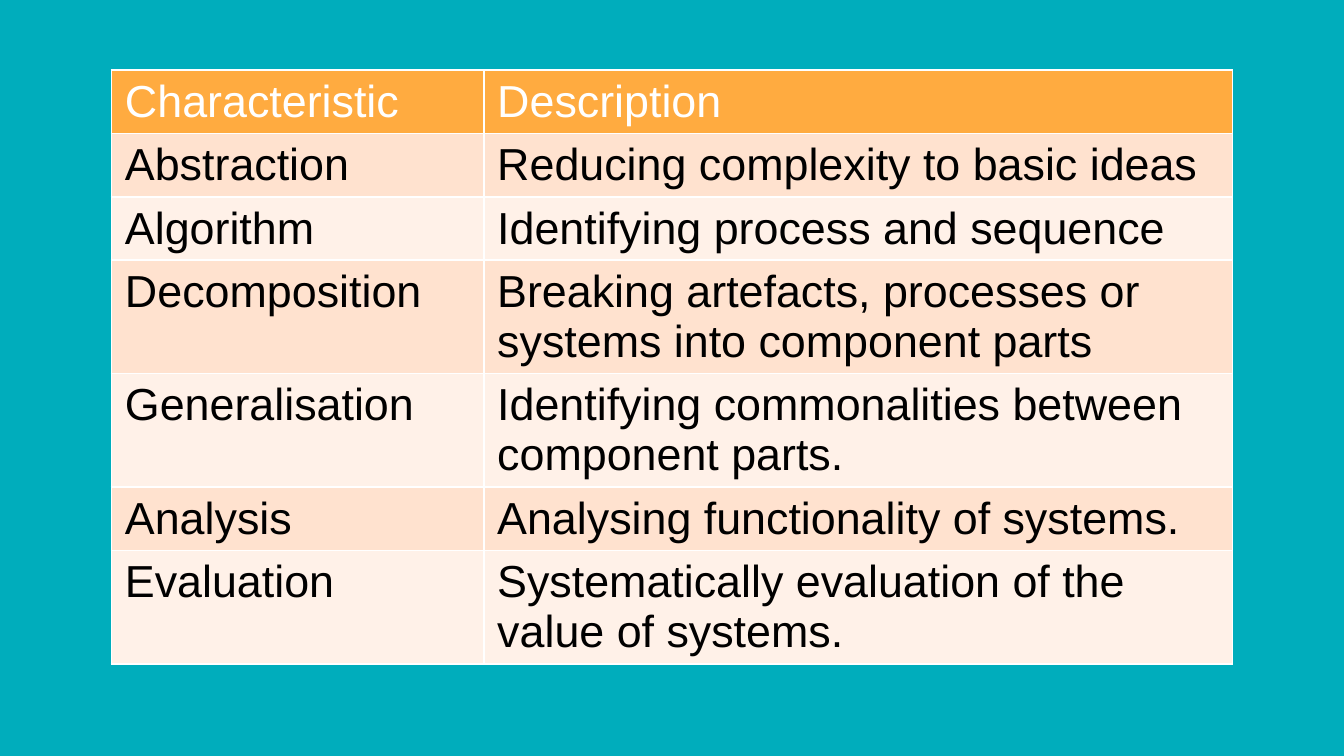
from pptx import Presentation
from pptx.dml.color import RGBColor
from pptx.oxml.ns import qn
from pptx.util import Inches, Pt
from lxml.etree import SubElement

HUES = {
    "back": "00ADBC",
    "head": "FFAB40",
    "odd": "FFE2CF",
    "even": "FFF1E8",
    "white": "FFFFFF",
    "black": "000000",
}

ROWS = [
    ("Characteristic", "Description"),
    ("Abstraction", "Reducing complexity to basic ideas"),
    ("Algorithm", "Identifying process and sequence"),
    ("Decomposition", "Breaking artefacts, processes or systems into component parts"),
    ("Generalisation", "Identifying commonalities between component parts."),
    ("Analysis", "Analysing functionality of systems."),
    ("Evaluation", "Systematically evaluation of the value of systems."),
]


def hue(name):
    return RGBColor.from_string(HUES[name])


def write(frame, text, size=24, color="black", font="Arial", bold=False):
    run = frame.paragraphs[0].add_run()
    run.text = text
    run.font.size = Pt(size)
    run.font.name = font
    run.font.bold = bold
    run.font.color.rgb = hue(color)


class Deck:
    def __init__(self, width, height):
        self.show = Presentation()
        self.show.slide_width = Inches(width)
        self.show.slide_height = Inches(height)
        self.slide = None

    def page(self, back):
        self.slide = self.show.slides.add_slide(self.show.slide_layouts[6])
        fill = self.slide.background.fill
        fill.solid()
        fill.fore_color.rgb = hue(back)

    def edge(self, cell, color="white", width=1):
        props = cell._tc.get_or_add_tcPr()
        for place, side in enumerate(("lnL", "lnR", "lnT", "lnB")):
            line = SubElement(props, qn(f"a:{side}"), w=str(Pt(width)))
            fill = SubElement(line, qn("a:solidFill"))
            SubElement(fill, qn("a:srgbClr"), val=HUES[color])
            props.insert(place, line)

    def table(self, rows, left, top, widths, height):
        grid = self.slide.shapes.add_table(
            len(rows), len(widths), Inches(left), Inches(top),
            Inches(sum(widths)), Inches(height * len(rows)),
        ).table
        for column, width in zip(grid.columns, widths):
            column.width = Inches(width)
        for r, row in enumerate(rows):
            grid.rows[r].height = Inches(height)
            shade = "head" if r == 0 else ("even", "odd")[r % 2]
            for c, text in enumerate(row):
                cell = grid.cell(r, c)
                cell.fill.solid()
                cell.fill.fore_color.rgb = hue(shade)
                self.edge(cell)
                write(cell.text_frame, text, color="black" if r else "white")


def main():
    deck = Deck(10, 10 * 9 / 16)
    deck.page("back")
    deck.table(ROWS, 0.83, 0.52, (2.77, 5.57), 0.41)
    deck.show.save("out.pptx")


if __name__ == "__main__":
    main()
